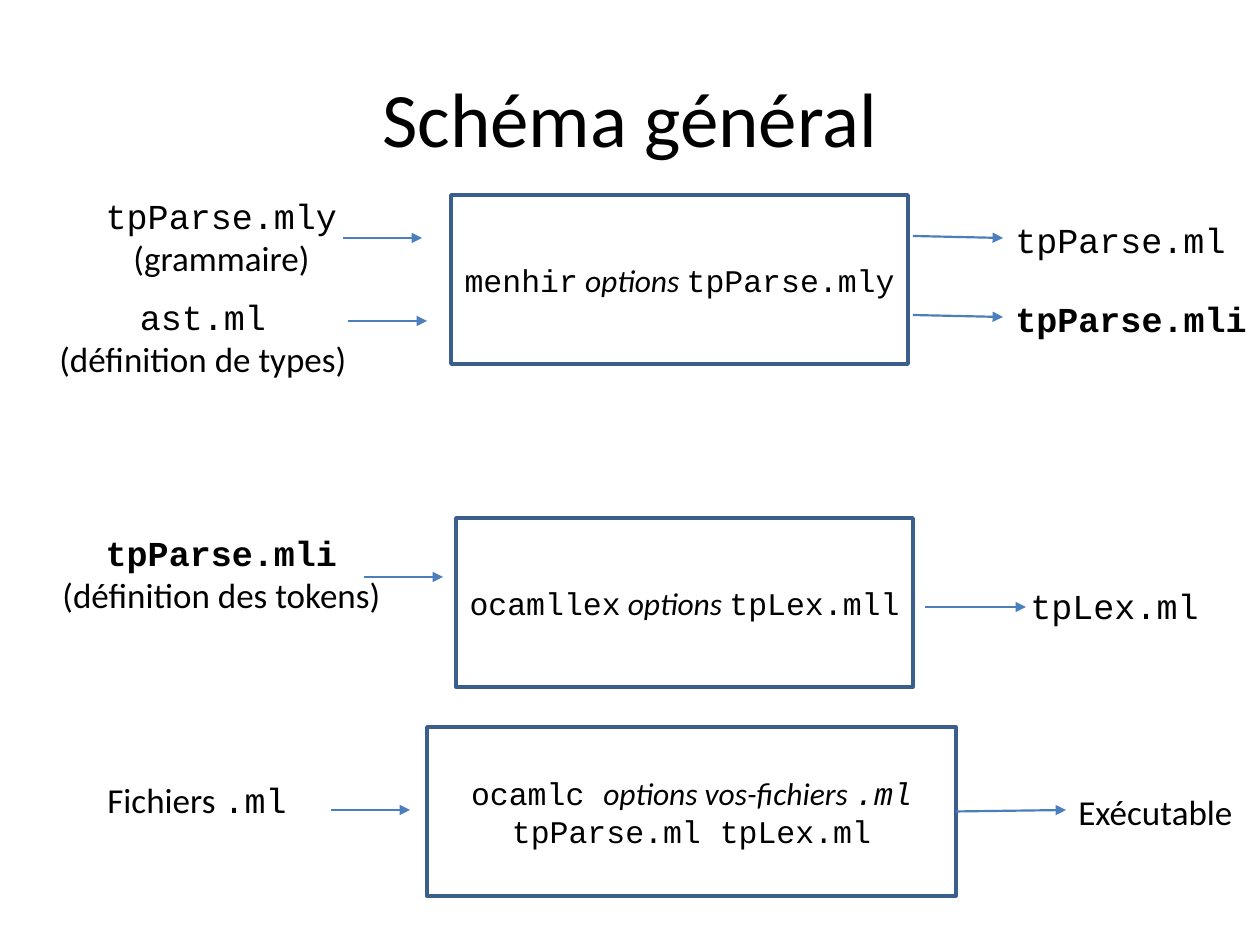
from dataclasses import dataclass

from lxml import etree
from pptx import Presentation
from pptx.dml.color import RGBColor
from pptx.enum.shapes import MSO_CONNECTOR, MSO_SHAPE
from pptx.enum.text import MSO_ANCHOR, MSO_AUTO_SIZE, PP_ALIGN
from pptx.oxml.ns import qn
from pptx.util import Emu, Pt

STRAIGHT = MSO_CONNECTOR.STRAIGHT
RECTANGLE = MSO_SHAPE.RECTANGLE
MIDDLE = MSO_ANCHOR.MIDDLE
FIT_TEXT = MSO_AUTO_SIZE.SHAPE_TO_FIT_TEXT
CENTER, LEFT = PP_ALIGN.CENTER, PP_ALIGN.LEFT
RIGHT_SIDE = 3

EMU_PER_INCH, PX_PER_INCH = 914400, 126


@dataclass(frozen=True)
class Theme:
    text: RGBColor = RGBColor(0x00, 0x00, 0x00)
    border: RGBColor = RGBColor(0x3A, 0x5F, 0x8C)
    arrow: RGBColor = RGBColor(0x4B, 0x7E, 0xBC)
    body_font: str = "Calibri"
    code_font: str = "Courier New"
    title_size: int = 44
    label_size: int = 20
    tool_size: int = 18
    border_width: float = 2
    input_width: float = 0.75
    output_width: float = 1.25


THEME = Theme()


def px(length):
    return Emu(round(length * EMU_PER_INCH / PX_PER_INCH))


# Runs: (text, font, bold, italic)
def code(text, bold=False, italic=False):
    return text, THEME.code_font, bold, italic


def prose(text, italic=False):
    return text, THEME.body_font, False, italic


def write(frame, paragraphs, size, align):
    for index, runs in enumerate(paragraphs):
        paragraph = frame.paragraphs[0] if index == 0 else frame.add_paragraph()
        paragraph.alignment = align
        for text, font, bold, italic in runs:
            run = paragraph.add_run()
            run.text = text
            run.font.name = font
            run.font.size = Pt(size)
            run.font.bold = bold
            run.font.italic = italic
            run.font.color.rgb = THEME.text


def add_title(slide, text):
    frame = slide.shapes.add_textbox(px(63), px(38), px(1134), px(157)).text_frame
    frame.word_wrap = True
    frame.vertical_anchor = MIDDLE
    write(frame, [[prose(text)]], THEME.title_size, CENTER)


def add_label(slide, bounds, paragraphs, align):
    """Inputs are centred and wrap; outputs start at the left on one line."""
    frame = slide.shapes.add_textbox(*map(px, bounds)).text_frame
    frame.word_wrap = align == CENTER
    frame.auto_size = FIT_TEXT
    write(frame, paragraphs, THEME.label_size, align)


def add_tool(slide, left, top, width, command):
    tool = slide.shapes.add_shape(RECTANGLE, px(left), px(top), px(width), px(169))
    tool.shadow.inherit = False
    tool.fill.background()
    tool.line.color.rgb = THEME.border
    tool.line.width = Pt(THEME.border_width)
    tool.text_frame.word_wrap = True
    tool.text_frame.vertical_anchor = MIDDLE
    write(tool.text_frame, [command], THEME.tool_size, CENTER)
    return tool


def add_arrow(slide, start, end, width):
    arrow = slide.shapes.add_connector(STRAIGHT, *map(px, (*start, *end)))
    arrow.line.color.rgb = THEME.arrow
    arrow.line.width = Pt(width)
    etree.SubElement(arrow.line._get_or_add_ln(), qn("a:tailEnd"), type="triangle")
    etree.SubElement(arrow._element.spPr, qn("a:effectLst"))
    return arrow


def main():
    presentation = Presentation()
    presentation.slide_width, presentation.slide_height = px(1260), px(945)
    slide = presentation.slides.add_slide(presentation.slide_layouts[6])

    add_title(slide, "Schéma général")

    # Tools: parser generator, lexer generator, compiler
    add_tool(slide, 451, 195, 457,
             [code("menhir"), prose(" options ", italic=True), code("tpParse.mly")])
    add_tool(slide, 456, 518, 457,
             [code("ocamllex"), prose(" options ", italic=True), code("tpLex.mll")])
    compiler = add_tool(slide, 427, 727, 529,
                        [code("ocamlc "), prose("options vos-fichiers ", italic=True),
                         code(".ml ", italic=True), code("tpParse.ml tpLex.ml")])

    # Input files
    inputs = [
        ((47, 188, 349, 97), [[code("tpParse.mly")], [prose("(grammaire)")]]),
        ((45, 289, 316, 97), [[code("ast.ml")], [prose("(définition de types)")]]),
        ((47, 525, 349, 97),
         [[code("tpParse.mli", bold=True)], [prose("(définition des tokens)")]]),
        ((63, 772, 268, 55), [[prose("Fichiers "), code(".ml")]]),
    ]
    for bounds, paragraphs in inputs:
        add_label(slide, bounds, paragraphs, CENTER)

    # Output files
    outputs = [
        ((1003, 212, 237, 55), code("tpParse.ml")),
        ((1003, 291, 258, 55), code("tpParse.mli", bold=True)),
        ((1018, 578, 195, 55), code("tpLex.ml")),
        ((1066, 784, 181, 55), prose("Exécutable")),
    ]
    for bounds, name in outputs:
        add_label(slide, bounds, [[name]], LEFT)

    # Arrows into the tools, all of one length
    for left, y in [(343, 238), (348, 321), (364, 577), (331, 810)]:
        add_arrow(slide, (left, y), (left + 79, y), THEME.input_width)

    # Arrows out of the tools
    for start, end in [((913, 236), (1003, 238)), ((913, 315), (1003, 317)),
                       ((925, 607), (1026, 607))]:
        add_arrow(slide, start, end, THEME.output_width)
    to_executable = add_arrow(slide, (956, 811), (1066, 810), THEME.output_width)
    to_executable.begin_connect(compiler, RIGHT_SIDE)

    presentation.save("out.pptx")


if __name__ == "__main__":
    main()
